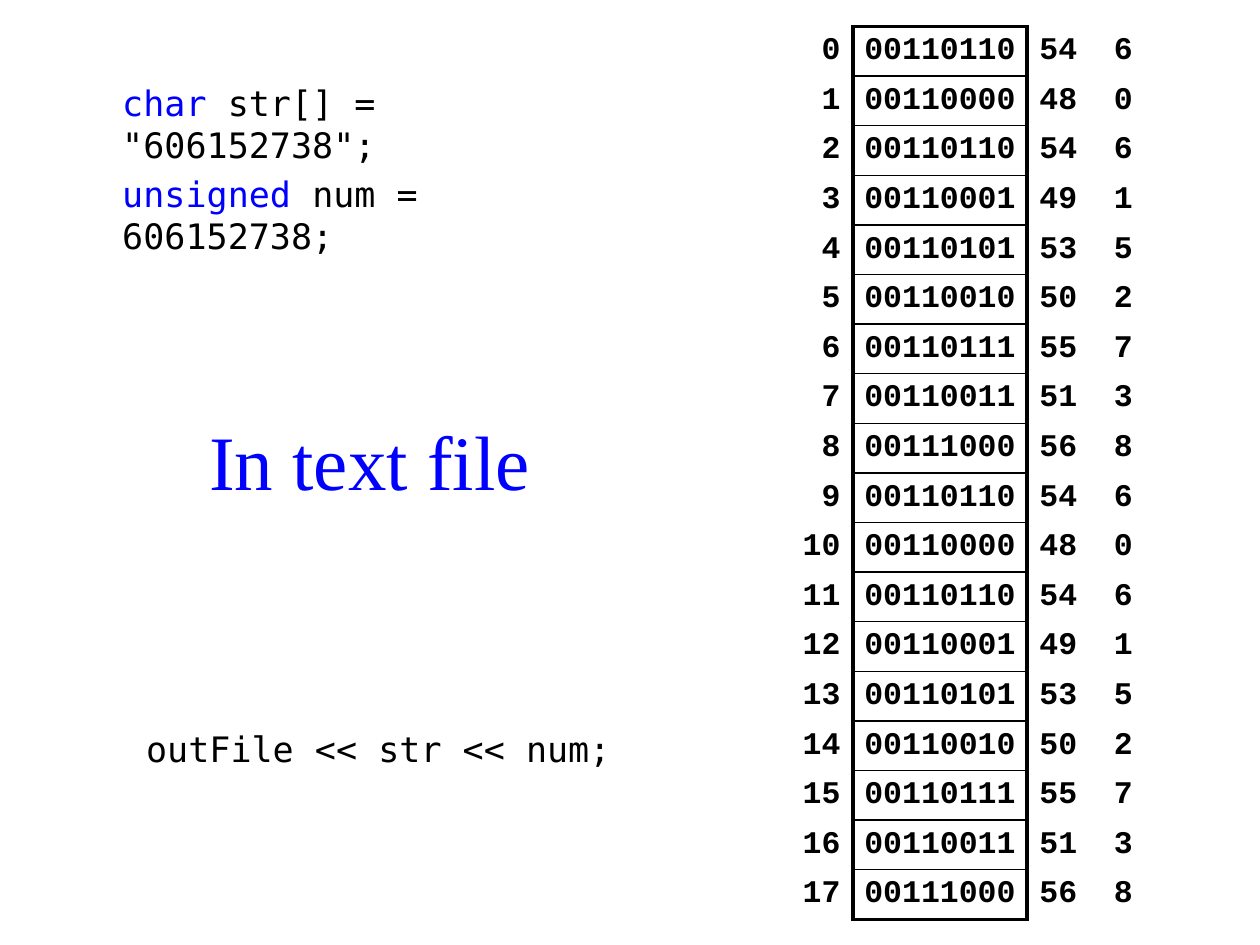
"""Build a slide showing how digits are stored as bytes in a text file."""
from lxml import etree
from pptx import Presentation
from pptx.dml.color import RGBColor
from pptx.enum.text import MSO_ANCHOR, MSO_AUTO_SIZE, PP_ALIGN
from pptx.oxml.ns import qn
from pptx.util import Inches, Pt

LEFT, CENTER, RIGHT = PP_ALIGN.LEFT, PP_ALIGN.CENTER, PP_ALIGN.RIGHT
TOP, MIDDLE = MSO_ANCHOR.TOP, MSO_ANCHOR.MIDDLE
NO_AUTOFIT = MSO_AUTO_SIZE.NONE
TWO_CONTENT_LAYOUT = 3
BLACK, BLUE = "000000", "0000FF"
THICK, THIN, NONE = 2.25, 1, 0
CODE_FONT, TABLE_FONT, TITLE_FONT = "DejaVu Sans Mono", "Courier New", "Times New Roman"
STORED_TEXT = "606152738" * 2


def color(hex_string):
    """Return the colour for a hex string."""
    return RGBColor.from_string(hex_string)


def add_text(paragraph, text, font=CODE_FONT, size=20, fill=BLACK, bold=False):
    """Add a formatted run to a paragraph."""
    run = paragraph.add_run()
    run.text = text
    run.font.name = font
    run.font.size = Pt(size)
    run.font.bold = bold
    run.font.color.rgb = color(fill)


def place(shape, box, anchor):
    """Move a placeholder to a box and fix its text anchoring."""
    shape.left, shape.top, shape.width, shape.height = map(Inches, box)
    frame = shape.text_frame
    frame.word_wrap = True
    frame.auto_size = NO_AUTOFIT
    frame.vertical_anchor = anchor
    return frame


def fill_title(shape, box, text):
    """Write the centred title."""
    paragraph = place(shape, box, MIDDLE).paragraphs[0]
    paragraph.alignment = CENTER
    add_text(paragraph, text, font=TITLE_FONT, size=44, fill=BLUE)


def fill_code(shape, box, lines):
    """Write code lines, each a blue keyword followed by black code."""
    frame = place(shape, box, TOP)
    for index, (keyword, code) in enumerate(lines):
        paragraph = frame.add_paragraph() if index else frame.paragraphs[0]
        paragraph.alignment = LEFT
        paragraph.space_before = Pt(4)
        properties = paragraph._p.get_or_add_pPr()
        properties.set("marL", "0")
        properties.set("indent", "0")
        etree.SubElement(properties, qn("a:buNone"))
        if keyword:
            add_text(paragraph, keyword, fill=BLUE)
        add_text(paragraph, code)


def set_borders(cell, widths):
    """Draw the left, right, top and bottom borders of a cell."""
    properties = cell._tc.get_or_add_tcPr()
    for side, width in zip("LRTB", widths):
        line = etree.SubElement(properties, qn(f"a:ln{side}"), w=str(Pt(width)))
        if width:
            solid = etree.SubElement(line, qn("a:solidFill"))
            etree.SubElement(solid, qn("a:srgbClr"), val=BLACK)
        else:
            etree.SubElement(line, qn("a:noFill"))


def fill_cell(cell, text, alignment, margin, borders):
    """Write one table cell without a fill."""
    set_borders(cell, borders)
    cell.fill.background()
    cell.vertical_anchor = MIDDLE
    cell.margin_left = cell.margin_right = Inches(margin)
    cell.margin_top = cell.margin_bottom = Inches(0.04)
    paragraph = cell.text_frame.paragraphs[0]
    paragraph.alignment = alignment
    paragraph.space_before = Pt(3.6)
    add_text(paragraph, text, font=TABLE_FONT, size=18, bold=True)


def add_memory_table(slide, box, stored_text):
    """Show address, bits, character code and character of every byte."""
    left, top, width, height = map(Inches, box)
    count = len(stored_text)
    table = slide.shapes.add_table(count, 4, left, top, width, height).table
    table.first_row = table.horz_banding = False
    for column, column_width in zip(table.columns, (0.59, 1.38, 0.59, 0.39)):
        column.width = Inches(column_width)
    for address, character in enumerate(stored_text):
        table.rows[address].height = height // count
        code = ord(character)
        above = THIN if address else THICK
        below = THIN if address < count - 1 else THICK
        cells = (
            (str(address), RIGHT, 0.1, (NONE, THICK, NONE, NONE)),
            (f"{code:08b}", CENTER, 0.08, (THICK, THICK, above, below)),
            (str(code), LEFT, 0.1, (THICK, NONE, NONE, NONE)),
            (character, LEFT, 0.1, (NONE, NONE, NONE, NONE)),
        )
        for column, content in enumerate(cells):
            fill_cell(table.cell(address, column), *content)


def main():
    """Build and save the slide."""
    presentation = Presentation()
    presentation.slide_width, presentation.slide_height = Inches(10), Inches(7.5)
    slide = presentation.slides.add_slide(presentation.slide_layouts[TWO_CONTENT_LAYOUT])
    title, output, declarations = list(slide.placeholders)[:3]
    add_memory_table(slide, (6.18, 0.21, 2.95, 7.09), STORED_TEXT)
    fill_title(title, (1.46, 3.16, 2.95, 0.98), "In text file")
    fill_code(output, (1.06, 5.72, 3.94, 0.59), [("", "outFile << str << num;")])
    fill_code(declarations, (0.87, 0.6, 4.33, 0.79), [
        ("char ", 'str[] = "606152738";'),
        ("unsigned ", "num = 606152738;"),
    ])
    presentation.save("out.pptx")


main()
